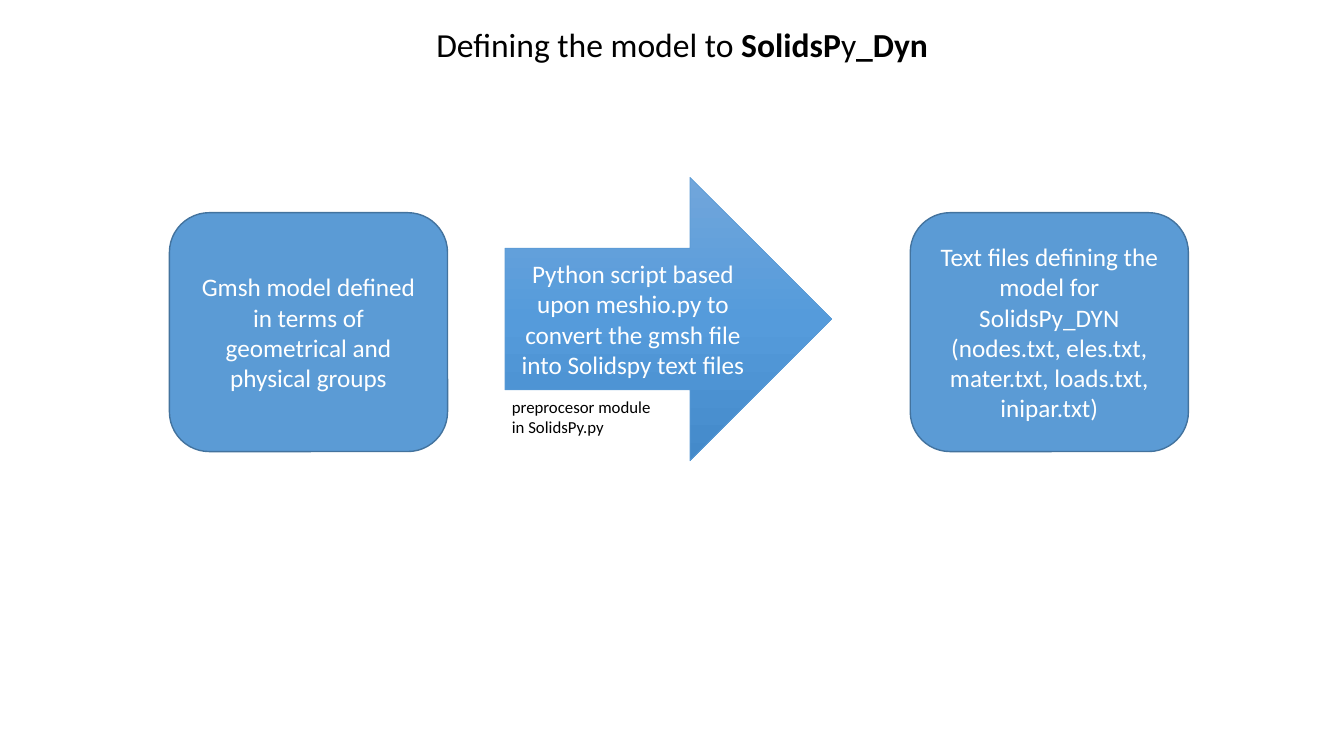
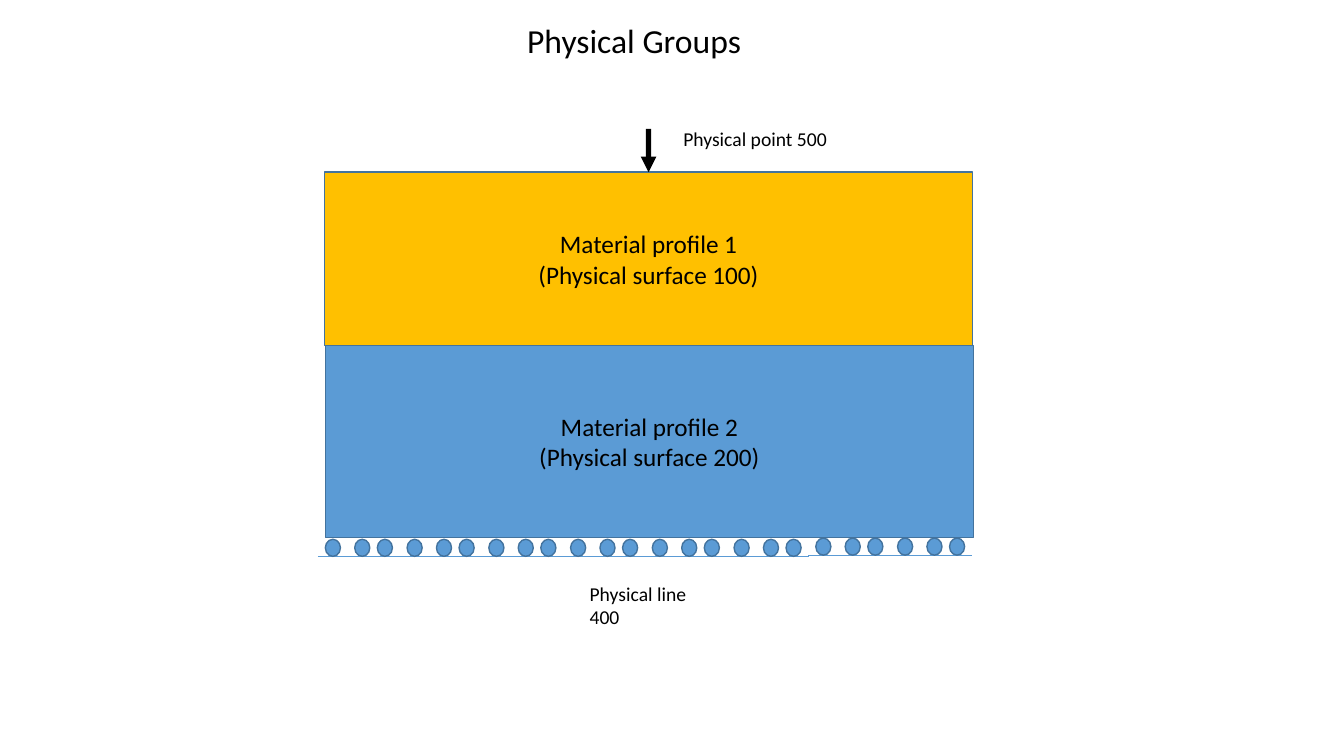
import copy

import lxml.etree
import pptx
import pptx.dml.color
import pptx.enum.shapes
import pptx.enum.text
import pptx.oxml.ns
import pptx.util

Cm = pptx.util.Cm
Pt = pptx.util.Pt
RGB = pptx.dml.color.RGBColor
SHAPE = pptx.enum.shapes.MSO_SHAPE
ALIGN = pptx.enum.text.PP_ALIGN
ANCHOR = pptx.enum.text.MSO_ANCHOR
qn = pptx.oxml.ns.qn

FONT = "Calibri"
BLACK = RGB(0x00, 0x00, 0x00)
WHITE = RGB(0xFF, 0xFF, 0xFF)
BLUE = RGB(0x5B, 0x9B, 0xD5)
EDGE = RGB(0x43, 0x73, 0x9E)
AMBER = RGB(0xFF, 0xC0, 0x00)
ARROW_STOPS = [(0, RGB(0x71, 0xA6, 0xDB)), (0.5, RGB(0x55, 0x9B, 0xDB)), (1, RGB(0x44, 0x8A, 0xCA))]


def write(tf, paragraphs, size, color=BLACK, align=ALIGN.LEFT, anchor=ANCHOR.TOP, wrap=True):
    tf.word_wrap = wrap
    tf.auto_size = pptx.enum.text.MSO_AUTO_SIZE.NONE
    tf.vertical_anchor = anchor
    for i, runs in enumerate(paragraphs):
        p = tf.paragraphs[0] if i == 0 else tf.add_paragraph()
        p.alignment = align
        for text, bold in runs:
            r = p.add_run()
            r.text = text
            r.font.name = FONT
            r.font.size = Pt(size)
            r.font.bold = bold
            r.font.color.rgb = color


def plain(*lines):
    return [[(line, False)] for line in lines]


def add_titled_slide(prs, box, runs):
    s = prs.slides.add_slide(prs.slide_layouts[5])
    title = s.shapes.title
    title.left, title.top, title.width, title.height = [Cm(v) for v in box]
    write(title.text_frame, [runs], 24, wrap=False)
    return s


def add_label(s, box, text, size):
    tb = s.shapes.add_textbox(*[Cm(v) for v in box])
    write(tb.text_frame, plain(text), size)


def add_block(s, kind, box, fill=BLUE, lines=(), color=WHITE):
    sp = s.shapes.add_shape(kind, *[Cm(v) for v in box])
    sp.shadow.inherit = False
    sp.fill.solid()
    sp.fill.fore_color.rgb = fill
    sp.line.color.rgb = EDGE
    sp.line.width = Pt(1)
    if lines:
        write(sp.text_frame, plain(*lines), 18, color, ALIGN.CENTER, ANCHOR.MIDDLE)
    return sp


def add_line(s, x1, y1, x2, y2, color, width):
    straight = pptx.enum.shapes.MSO_CONNECTOR.STRAIGHT
    cx = s.shapes.add_connector(straight, Cm(x1), Cm(y1), Cm(x2), Cm(y2))
    cx.line.color.rgb = color
    cx.line.width = Pt(width)
    lxml.etree.SubElement(cx._element.spPr, qn("a:effectLst"))
    return cx


def shade(sp, stops):
    sp.fill.gradient()
    sp.fill.gradient_angle = 270
    gs_list = sp._element.spPr.find(qn("a:gradFill")).find(qn("a:gsLst"))
    gs_list.insert(1, copy.deepcopy(gs_list[0]))
    for stop, (position, color) in zip(sp.fill.gradient_stops, stops):
        stop.position = position
        stop.color.rgb = color


def add_conversion(s, x, y, w, h):
    box_w, box_h = 7.01, 6.02
    box_y = y + 0.89
    arrow = add_block(s, SHAPE.RIGHT_ARROW, (x + 8.46, y, 8.23, h), lines=[
        "Python script based upon meshio.py to convert the gmsh file into Solidspy text files"])
    shade(arrow, ARROW_STOPS)
    arrow.line.color.rgb = BLUE
    arrow.line.width = Pt(0.5)
    add_block(s, SHAPE.ROUNDED_RECTANGLE, (x, box_y, box_w, box_h), lines=[
        "Gmsh model defined in terms of geometrical and physical groups"])
    add_block(s, SHAPE.ROUNDED_RECTANGLE, (x + w - box_w, box_y, box_w, box_h), lines=[
        "Text files defining the model for SolidsPy_DYN",
        "(nodes.txt, eles.txt, mater.txt, loads.txt, inipar.txt)"])
    add_label(s, (x + 8.38, y + 5.41, 4.19, 1.27), "preprocesor module in SolidsPy.py", 12)


def add_rollers(s, x, y):
    ball_w, ball_h = 0.38, 0.43
    for group in range(8):
        top = y if group < 6 else y - 0.03
        for offset in (0, 0.74, 1.31):
            left = x + group * 2.06 + offset
            floor = top + ball_h
            add_line(s, left - 0.19, floor, left + 0.57, floor, BLUE, 0.5)
            add_block(s, SHAPE.OVAL, (left, top, ball_w, ball_h))


def add_layers(s, x, y, w):
    upper_h, lower_h = 4.37, 4.83
    upper = add_block(s, SHAPE.RECTANGLE, (x, y, w, upper_h), AMBER,
                      ["Material profile 1", "(Physical surface 100)"], BLACK)
    add_block(s, SHAPE.RECTANGLE, (x + 0.02, y + upper_h, w, lower_h), BLUE,
              ["Material profile 2", "(Physical surface 200)"], BLACK)
    add_rollers(s, x + 0.02, y + upper_h + lower_h + 0.05)
    load = add_line(s, x + w / 2, y - 1.09, x + w / 2, y, BLACK, 3.75)
    load.end_connect(upper, 0)
    lxml.etree.SubElement(load.line._get_or_add_ln(), qn("a:tailEnd"), type="triangle")
    add_label(s, (x + 6.43, y + 10.19, 3.45, 1.3), "Physical line 400", 14)
    add_label(s, (x + 8.79, y - 1.27, 4.2, 0.86), "Physical point 500", 14)


def main():
    prs = pptx.Presentation()
    prs.slide_width, prs.slide_height = Cm(33.87), Cm(19.05)
    s = add_titled_slide(prs, (10.74, 0.48, 13.03, 1.27), [
        ("Defining the model to ", False), ("SolidsP", True), ("y", False), ("_Dyn", True)])
    add_conversion(s, 4.27, 4.47, 25.68, 7.14)
    s = add_titled_slide(prs, (13.03, 0.38, 5.94, 1.27), [("Physical Groups", False)])
    add_layers(s, 8.18, 4.34, 16.33)
    prs.save("out.pptx")


if __name__ == "__main__":
    main()
